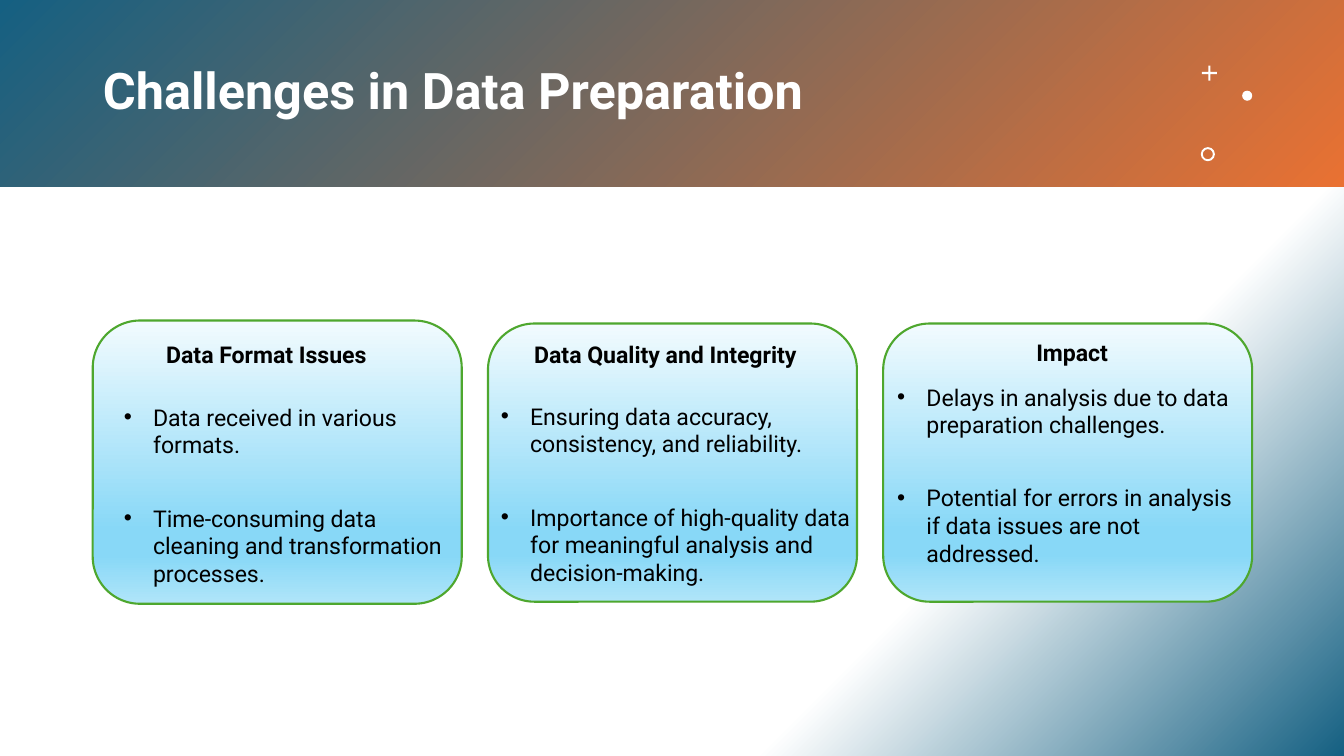
from lxml import etree
from pptx import Presentation, util as u
from pptx.dml.color import RGBColor
from pptx.enum import shapes, text
from pptx.oxml.ns import qn

W, H = 13.33, 7.5
MARGIN, CARD_W, PITCH = 0.92, 3.66, 3.92
FONT, BODY_SIZE, INDENT = "Roboto", 16.5, 0.29

WHITE = RGBColor(0xFF, 0xFF, 0xFF)
BLACK = RGBColor(0, 0, 0)
BLUE = RGBColor(0x15, 0x60, 0x82)
ORANGE = RGBColor(0xE9, 0x71, 0x32)
GREEN = RGBColor(0x4E, 0xA7, 0x2E)
ICE = RGBColor(0xF2, 0xFB, 0xFE)
SKY = RGBColor(0x88, 0xD8, 0xF7)
PALE = RGBColor(0xB0, 0xE5, 0xF9)

# Card top and height, heading offset (x, y, width), list offset (x, y, width)
CARDS = [
    (3.18, 2.81, "Data Format Issues", (0.63, 0.15, 2.64), (0.21, 0.77, 3.48),
     ["Data received in various formats.",
      "Time-consuming data cleaning and transformation processes."]),
    (3.21, 2.76, "Data Quality and Integrity", (0.36, 0.12, 3.1), (0.03, 0.73, 3.66),
     ["Ensuring data accuracy, consistency, and reliability.",
      "Importance of high-quality data for meaningful analysis and decision-making."]),
    (3.21, 2.76, "Impact", (1.42, 0.1, 1.96), (0.04, 0.54, 3.61),
     ["Delays in analysis due to data preparation challenges.",
      "Potential for errors in analysis if data issues are not addressed."]),
]


def inches(*values):
    return [u.Inches(v) for v in values]


def set_gradient(owner, fill, stops, angle):
    """Fill with (percent, colour) stops; the angle runs clockwise."""
    fill.gradient()
    fill.gradient_angle = 360 - angle
    stop_list = owner.element.find(".//" + qn("a:gsLst"))
    for old in list(stop_list):
        stop_list.remove(old)
    for percent, color in stops:
        stop = etree.SubElement(stop_list, qn("a:gs"), pos=str(percent * 1000))
        etree.SubElement(stop, qn("a:srgbClr"), val=str(color))


def add_preset(container, kind, box):
    sp = container.add_shape(kind, *inches(*box))
    sp.shadow.inherit = False
    sp.line.fill.background()
    return sp


def style_run(p, size, color, bold=False):
    for r in p.runs:
        r.font.name, r.font.size, r.font.bold = FONT, u.Pt(size), bold
        r.font.color.rgb = color


def add_bullet(p):
    pPr = p._p.get_or_add_pPr()
    pPr.set("marL", str(u.Inches(INDENT)))
    pPr.set("indent", str(-u.Inches(INDENT)))
    etree.SubElement(pPr, qn("a:buFont"), typeface="Arial")
    etree.SubElement(pPr, qn("a:buChar"), char="•")


def add_text(container, box, lines, bold=False, bullets=False):
    tf = container.add_textbox(*inches(*box)).text_frame
    tf.word_wrap = True
    for i, line in enumerate(lines):
        p = tf.add_paragraph() if i else tf.paragraphs[0]
        p.text = line
        if bullets:
            add_bullet(p)
        if i < len(lines) - 1:
            p.space_after = u.Pt(32.5)
        style_run(p, BODY_SIZE, BLACK, bold)


def add_header(s, box, title_text):
    x, y, w, h = box
    band = add_preset(s.shapes, shapes.MSO_SHAPE.RECTANGLE, box)
    set_gradient(band, band.fill, [(0, BLUE), (100, ORANGE)], 45)

    # Title sits in front of the band
    title = s.shapes.title
    title.element.addprevious(band.element)
    title.left, title.top, title.width, title.height = inches(
        x + MARGIN, y + 0.33, 10.75, 1.19)
    tf = title.text_frame
    tf.text = "" + title_text
    tf.word_wrap = True
    tf.auto_size = text.MSO_AUTO_SIZE.NONE
    tf.vertical_anchor = text.MSO_ANCHOR.MIDDLE
    p = tf.paragraphs[0]
    p.alignment, p.line_spacing = text.PP_ALIGN.LEFT, 0.9
    style_run(p, 36, WHITE, True)

    # Ornaments: plus, dot and ring, placed from the right edge
    right = x + w
    for kind, dx, dy, size, adjust in [
            (shapes.MSO_SHAPE.CROSS, 1.41, 0.65, 0.15, 0.43),
            (shapes.MSO_SHAPE.OVAL, 1.01, 0.9, 0.1, None),
            (shapes.MSO_SHAPE.DONUT, 1.42, 1.46, 0.14, 0.14)]:
        sp = add_preset(s.shapes, kind, (right - dx, y + dy, size, size))
        sp.fill.solid()
        sp.fill.fore_color.rgb = WHITE
        if adjust is not None:
            sp.adjustments[0] = adjust


def add_card(s, box, heading, heading_at, list_at, items):
    x, y, w, h = box
    group = s.shapes.add_group_shape().shapes
    sp = add_preset(group, shapes.MSO_SHAPE.ROUNDED_RECTANGLE, box)
    set_gradient(sp, sp.fill, [(0, ICE), (74, SKY), (83, SKY), (100, PALE)], 90)
    sp.line.color.rgb = GREEN
    sp.line.width = u.Pt(1.5)

    dx, dy, width = heading_at
    add_text(group, (x + dx, y + dy, width, 0.39), [heading], bold=True)
    dx, dy, width = list_at
    add_text(group, (x + dx, y + dy, width, h - dy), items, bullets=True)


def main():
    prs = Presentation()
    prs.slide_width, prs.slide_height = inches(W, H)
    s = prs.slides.add_slide(prs.slide_layouts[5])
    set_gradient(s, s.background.fill, [(0, WHITE), (72, WHITE), (100, BLUE)], 45)
    add_header(s, (0, 0, W, 1.85), "Challenges in Data Preparation")
    for col, (top, height, *content) in enumerate(CARDS):
        add_card(s, (MARGIN + col * PITCH, top, CARD_W, height), *content)
    prs.save("out.pptx")


if __name__ == "__main__":
    main()
